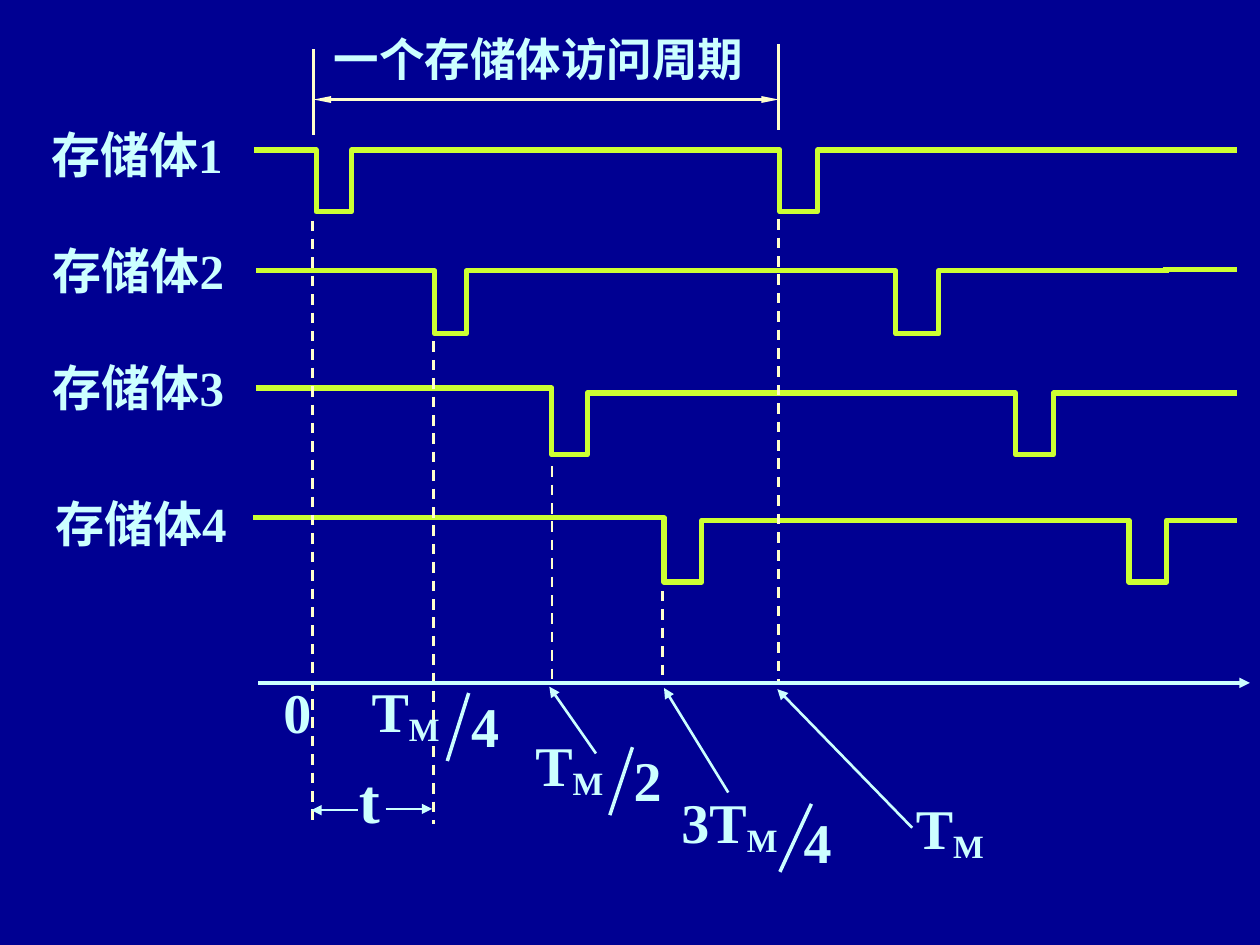
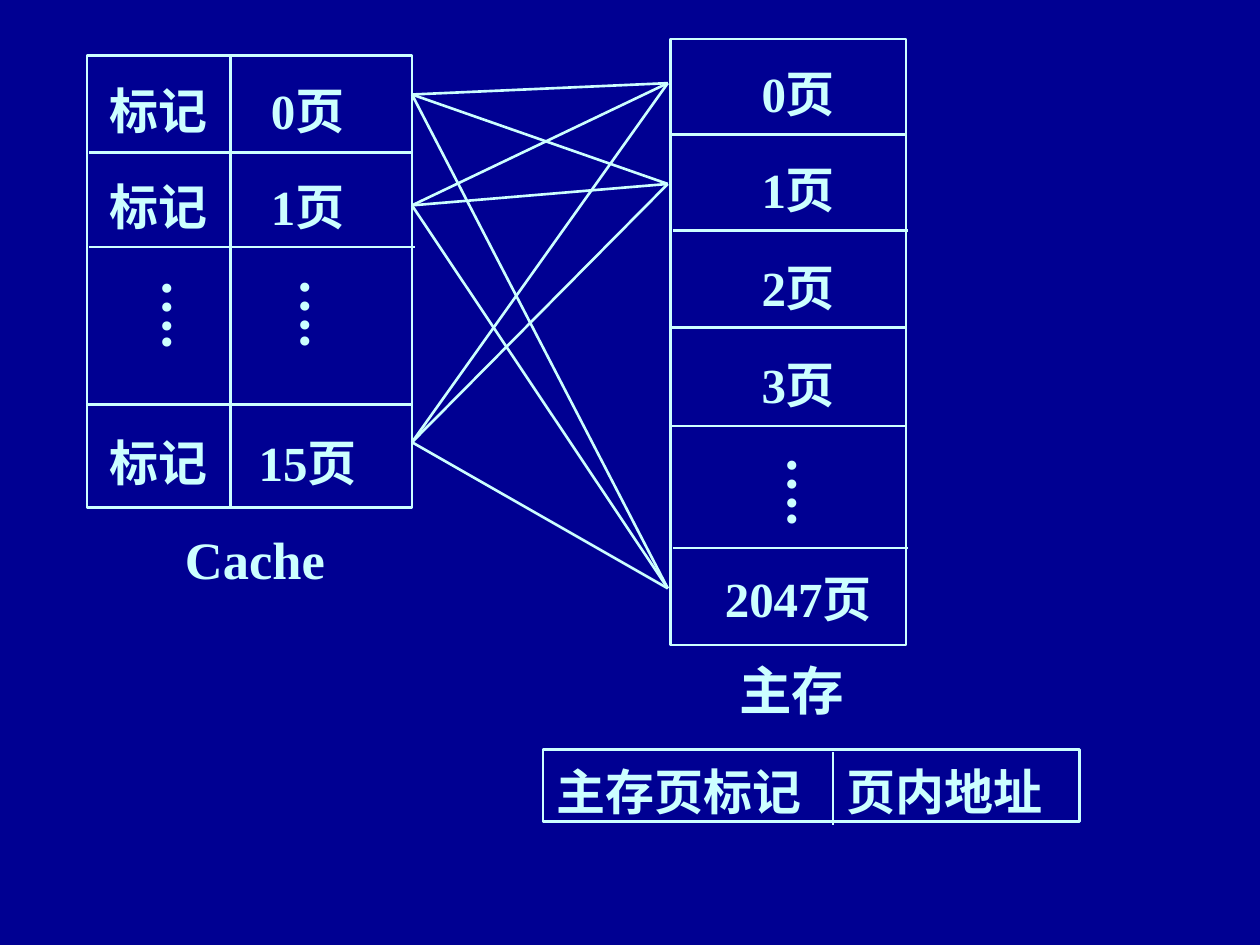
from itertools import product

from lxml import etree
from pptx import Presentation
from pptx.dml.color import RGBColor
from pptx.enum.dml import MSO_LINE
from pptx.enum.shapes import MSO_CONNECTOR, MSO_SHAPE
from pptx.enum.text import MSO_ANCHOR, PP_ALIGN
from pptx.oxml.ns import qn
from pptx.util import Inches, Pt

NAVY = RGBColor(0x00, 0x00, 0x92)
ICE = RGBColor(0xCC, 0xFF, 0xFF)
CREAM = RGBColor(0xFF, 0xFF, 0xCC)
LIME = RGBColor(0xCC, 0xFF, 0x33)
FONT = "Times New Roman"
DASH = MSO_LINE.DASH
STRAIGHT = MSO_CONNECTOR.STRAIGHT
RECT = MSO_SHAPE.RECTANGLE
LEFT, CENTER = PP_ALIGN.LEFT, PP_ALIGN.CENTER
TOP = MSO_ANCHOR.TOP

# Bank timing: name, label place, wave start, level before and after the
# first pulse, low level, wave end, pulses
BANKS = [
    ("存储体1", (0.31, 0.94), 2.02, 1.19, 1.19, 1.68, 9.28, [(2.51, 2.79), (6.19, 6.49)]),
    ("存储体2", (0.32, 1.86), 2.03, 2.15, 2.15, 2.65, 9.28, [(3.45, 3.70), (7.11, 7.45)]),
    ("存储体3", (0.32, 2.79), 2.03, 3.08, 3.12, 3.61, 9.82, [(4.38, 4.66), (8.06, 8.36)]),
    ("存储体4", (0.34, 3.87), 2.01, 4.11, 4.13, 4.62, 9.82, [(5.27, 5.57), (8.96, 9.26)]),
]
TAILS = [1.19, 2.14]
GUIDES = [(2.48, 1.75, 6.56), (3.44, 2.71, 6.54), (4.38, 3.70, 5.40),
          (5.26, 4.69, 5.41), (6.18, 1.74, 5.41)]
PERIOD = "一个存储体访问周期"
PERIOD_ENDS = [(2.49, 0.39), (6.18, 0.35)]
# Numerator, divisor, left, top, then offsets: slash top, slash foot, divisor drop
FRACTIONS = [("T", "4", 2.85, 5.32, 0.87, 0.70, 0.12),
             ("T", "2", 4.15, 5.75, 0.87, 0.69, 0.12),
             ("3T", "4", 5.31, 6.20, 1.13, 0.88, 0.16)]
POINTERS = [((4.73, 5.98), (4.36, 5.45)), ((5.78, 6.29), (5.27, 5.46)),
            ((7.24, 6.57), (6.17, 5.47))]
STEP_ARROWS = [((3.06, 6.42), (3.43, 6.42)), ((2.84, 6.43), (2.47, 6.43))]

# Tables of pages: box, insets (left, top, right), dividers, text format
BLOCKS = [
    dict(box=(0.69, 0.44, 2.58, 3.59), insets=(0.18, 0.19, 0),
         rules=[((0.71, 1.21), (3.27, 1.21)), ((0.71, 1.96), (3.29, 1.96)),
                ((0.69, 3.21), (3.28, 3.21)), ((1.83, 0.43), (1.83, 4.02))],
         text=["标记\t0页", "标记\t1页", "标记\t15页"],
         style=dict(gaps=[0, 21, 112.3], tab=(1.57, "ctr"))),
    dict(box=(5.32, 0.31, 1.87, 4.81), insets=(0.16, 0.19, 0),
         rules=[((x, y), (x + 1.87, y)) for x, y in
                [(5.32, 1.07), (5.34, 1.83), (5.33, 2.60), (5.33, 3.38), (5.34, 4.35)]],
         text=["0页", "1页", "2页", "3页", "2047页"],
         style=dict(gaps=[0, 21, 22, 21.5, 88.3], align=CENTER)),
    dict(box=(4.31, 5.95, 4.26, 0.57), insets=(0.11, 0.09, 0),
         rules=[((6.61, 5.97), (6.61, 6.55))],
         text=["主存页标记\t页内地址"],
         style=dict(gaps=[0], tab=(2.30, "l"))),
]
PITCH = 34
DOTS = [(1.06, 2.12), (2.16, 2.11), (6.02, 3.52)]
CAPTIONS = [("Cache", 1.37, 4.13), ("主存", 5.77, 5.17)]
CACHE_PORTS = [(3.27, y) for y in (0.75, 1.63, 3.51)]
MEMORY_PORTS = [(5.30, y) for y in (0.66, 1.46, 4.67)]


def write(frame, *lines, size=28, sub="", align=LEFT, wrap=False, gaps=(), tab=None):
    """Fill a frame; gaps gives the space before each line at a fixed pitch."""
    frame.word_wrap = wrap
    frame.vertical_anchor = TOP
    for i, text in enumerate(lines):
        line = frame.add_paragraph() if i else frame.paragraphs[0]
        line.alignment = align
        if gaps:
            line.line_spacing = Pt(PITCH)
            line.space_before = Pt(gaps[i])
        if tab:
            stops = etree.SubElement(line._p.get_or_add_pPr(), qn("a:tabLst"))
            etree.SubElement(stops, qn("a:tab"), pos=str(Inches(tab[0])), algn=tab[1])
        for part in filter(None, (text, sub)):
            run = line.add_run()
            run.text = part
            run.font.size = Pt(size)
            run.font.name = FONT
            run.font.bold = True
            run.font.color.rgb = ICE
        if sub:
            run._r.get_or_add_rPr().set("baseline", "-16000")


def label(slide, text, x, y, wide=1.0, high=0.6, **style):
    box = slide.shapes.add_textbox(Inches(x), Inches(y), Inches(wide), Inches(high))
    write(box.text_frame, text, **style)
    return box


def rule(slide, start, end, color=ICE, width=1.5, dash=None, ends=(), size=("med", "med")):
    """Draw a line; ends lists headEnd and tailEnd where arrowheads go."""
    x1, y1, x2, y2 = (Inches(v) for v in start + end)
    line = slide.shapes.add_connector(STRAIGHT, x1, y1, x2, y2)
    line.line.color.rgb = color
    line.line.width = Pt(width)
    if dash:
        line.line.dash_style = dash
    props = line._element.spPr
    outline = props.find(qn("a:ln"))
    for tag in ends:
        etree.SubElement(outline, qn("a:" + tag), type="triangle", w=size[0], len=size[1])
    etree.SubElement(props, qn("a:effectLst"))


def outline(shape, color, width):
    shape.shadow.inherit = False
    shape.fill.background()
    shape.line.color.rgb = color
    shape.line.width = Pt(width)


def wave(slide, left, before, after, low, right, pulses):
    points, level = [], before
    for fall, rise in pulses:
        points += [(fall, level), (fall, low), (rise, low), (rise, after)]
        level = after
    points.append((right, level))
    pen = slide.shapes.build_freeform(Inches(left), Inches(before))
    pen.add_line_segments([(Inches(x), Inches(y)) for x, y in points], close=False)
    outline(pen.convert_to_shape(), LIME, 3)


def block(slide, box, insets, rules, text, style):
    shape = slide.shapes.add_shape(RECT, *(Inches(v) for v in box))
    outline(shape, ICE, 1.5)
    frame = shape.text_frame
    frame.margin_left, frame.margin_top, frame.margin_right = (Inches(v) for v in insets)
    write(frame, *text, wrap=True, **style)
    for start, end in rules:
        rule(slide, start, end)


def timing(slide):
    for name, place, *shape in BANKS:
        label(slide, name, *place, wide=1.65)
        wave(slide, *shape)
    for y in TAILS:
        rule(slide, (9.23, y), (9.82, y), LIME, 3)
    for x, top, foot in GUIDES:
        rule(slide, (x, top), (x, foot), CREAM, dash=DASH)

    rule(slide, (2.05, 5.42), (9.92, 5.42), width=2, ends=["tailEnd"])
    label(slide, "0", 2.15, 5.33, wide=0.58, size=32)
    label(slide, "T", 7.17, 6.25, size=32, sub="M")
    label(slide, "t", 2.75, 5.99, wide=0.48, high=0.7, size=36)
    for text, divisor, x, y, top, foot, drop in FRACTIONS:
        label(slide, text, x, y, wide=top + 0.05, size=32, sub="M")
        rule(slide, (x + top, y + 0.18), (x + foot, y + 0.72), width=2)
        label(slide, divisor, x + foot + 0.09, y + drop, wide=0.42, size=32)
    for start, end in POINTERS + STEP_ARROWS:
        rule(slide, start, end, ends=["tailEnd"])

    for x, y in PERIOD_ENDS:
        rule(slide, (x, y), (x, y + 0.68), CREAM)
    rule(slide, (2.49, 0.79), (6.18, 0.79), CREAM,
         ends=["headEnd", "tailEnd"], size=("sm", "lg"))
    label(slide, PERIOD, 2.55, 0.2, wide=3.52, size=26)


def mapping(slide):
    for parts in BLOCKS:
        block(slide, **parts)
    for x, y in DOTS:
        box = label(slide, "….", x, y, wide=0.73, high=0.77, size=32, wrap=True)
        frame = box.text_frame
        frame.margin_left = frame.margin_right = Inches(0.05)
        frame.margin_top = frame.margin_bottom = Inches(0.1)
        frame._txBody.bodyPr.set("vert", "eaVert")
    for text, x, y in CAPTIONS:
        label(slide, text, x, y, wide=1.4, size=30)
    for start, end in product(MEMORY_PORTS, CACHE_PORTS):
        rule(slide, start, end)


def main():
    deck = Presentation()
    deck.slide_width, deck.slide_height = Inches(10), Inches(7.5)
    back = deck.slide_master.background.fill
    back.solid()
    back.fore_color.rgb = NAVY
    blank = deck.slide_layouts[6]
    for draw in (timing, mapping):
        draw(deck.slides.add_slide(blank))
    deck.save("out.pptx")


if __name__ == "__main__":
    main()
